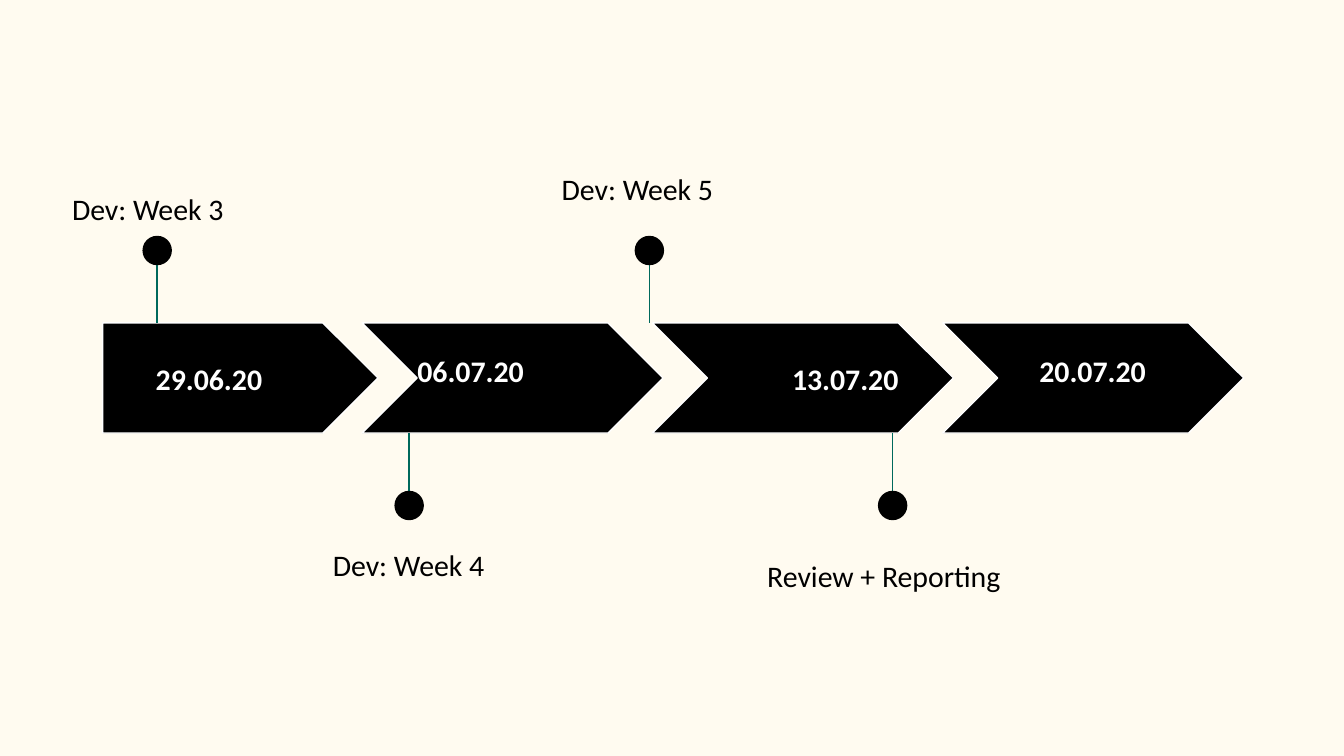
from pptx import Presentation
from pptx.dml.color import RGBColor
from pptx.enum.shapes import MSO_CONNECTOR, MSO_SHAPE
from pptx.enum.text import MSO_ANCHOR, PP_ALIGN
from pptx.oxml.ns import qn
from pptx.util import Pt
from lxml.etree import SubElement


def color(hex_code):
    return RGBColor.from_string(hex_code)


def add_label(text, left, top, width, height, hex_code, bold=False):
    label = slide.shapes.add_textbox(Pt(left), Pt(top), Pt(width), Pt(height))
    frame = label.text_frame
    frame.word_wrap = True
    frame.margin_left = frame.margin_right = Pt(7.2)
    frame.margin_top = frame.margin_bottom = Pt(7.2)
    run = frame.paragraphs[0].add_run()
    run.text = text
    run.font.name = "Calibri"
    run.font.size = Pt(16)
    run.font.bold = bold
    run.font.color.rgb = color(hex_code)
    return frame


prs = Presentation()
prs.slide_width, prs.slide_height = Pt(720), Pt(405)
slide = prs.slides.add_slide(prs.slide_layouts[6])
slide.background.fill.solid()
slide.background.fill.fore_color.rgb = color("FFFBF0")

BLACK, WHITE, GREEN = "000000", "FFFFFF", "00695C"
ARROW_TOP, ARROW_HEIGHT = 173, 59
ARROW_BOTTOM = ARROW_TOP + ARROW_HEIGHT
DOT = 15.8
STEM = 38.8  # from the arrow's edge to the centre of the dot

# Arrow shape, left and width; date, left, top and width of its label
steps = [
    (MSO_SHAPE.PENTAGON, 55, 147.5, "29.06.20", 54.7, 184.3, 114.5),
    (MSO_SHAPE.CHEVRON, 194, 161.3, "06.07.20", 200.3, 180, 103.7),
    (MSO_SHAPE.CHEVRON, 349.5, 161.3, "13.07.20", 401, 184.3, 103.7),
    (MSO_SHAPE.CHEVRON, 505, 161.3, "20.07.20", 533.5, 180, 103.7),
]
for arrow_kind, left, width, date, date_left, date_top, date_width in steps:
    arrow = slide.shapes.add_shape(
        arrow_kind, Pt(left), Pt(ARROW_TOP), Pt(width), Pt(ARROW_HEIGHT))
    arrow.adjustments[0] = 0.5
    arrow.shadow.inherit = False
    arrow.fill.solid()
    arrow.fill.fore_color.rgb = color(BLACK)
    arrow.line.color.rgb = color(WHITE)
    arrow.line.width = Pt(0.75)
    date_frame = add_label(date, date_left, date_top, date_width, 36.7, WHITE, bold=True)
    date_frame.vertical_anchor = MSO_ANCHOR.MIDDLE
    date_frame.paragraphs[0].alignment = PP_ALIGN.CENTER

# Milestone, centre of its dot, above the arrows or not; left, top and height of its label
milestones = [
    ("Dev: Week 3", 84.2, True, 31.5, 92.2, 71.3),
    ("Dev: Week 4", 219.2, False, 171.2, 283, 71.3),
    ("Dev: Week 5", 347.9, True, 293.8, 81.4, 71.3),
    ("Review + Reporting", 478.2, False, 403.9, 288.7, 42.5),
]
for milestone, center, above, left, top, height in milestones:
    stem_start = ARROW_TOP if above else ARROW_BOTTOM
    dot_center = ARROW_TOP - STEM if above else ARROW_BOTTOM + STEM
    stem = slide.shapes.add_connector(
        MSO_CONNECTOR.STRAIGHT, Pt(center), Pt(dot_center), Pt(center), Pt(stem_start))
    stem.line.color.rgb = color(GREEN)
    stem.line.width = Pt(0.75)
    SubElement(stem._element.spPr, qn("a:effectLst"))
    dot = slide.shapes.add_shape(
        MSO_SHAPE.OVAL, Pt(center - DOT / 2), Pt(dot_center - DOT / 2), Pt(DOT), Pt(DOT))
    dot.shadow.inherit = False
    dot.fill.solid()
    dot.fill.fore_color.rgb = color(BLACK)
    dot.line.fill.background()
    milestone_frame = add_label(milestone, left, top, 176.4, height, BLACK)
    milestone_frame.paragraphs[0].line_spacing = 1.15

prs.save("out.pptx")
